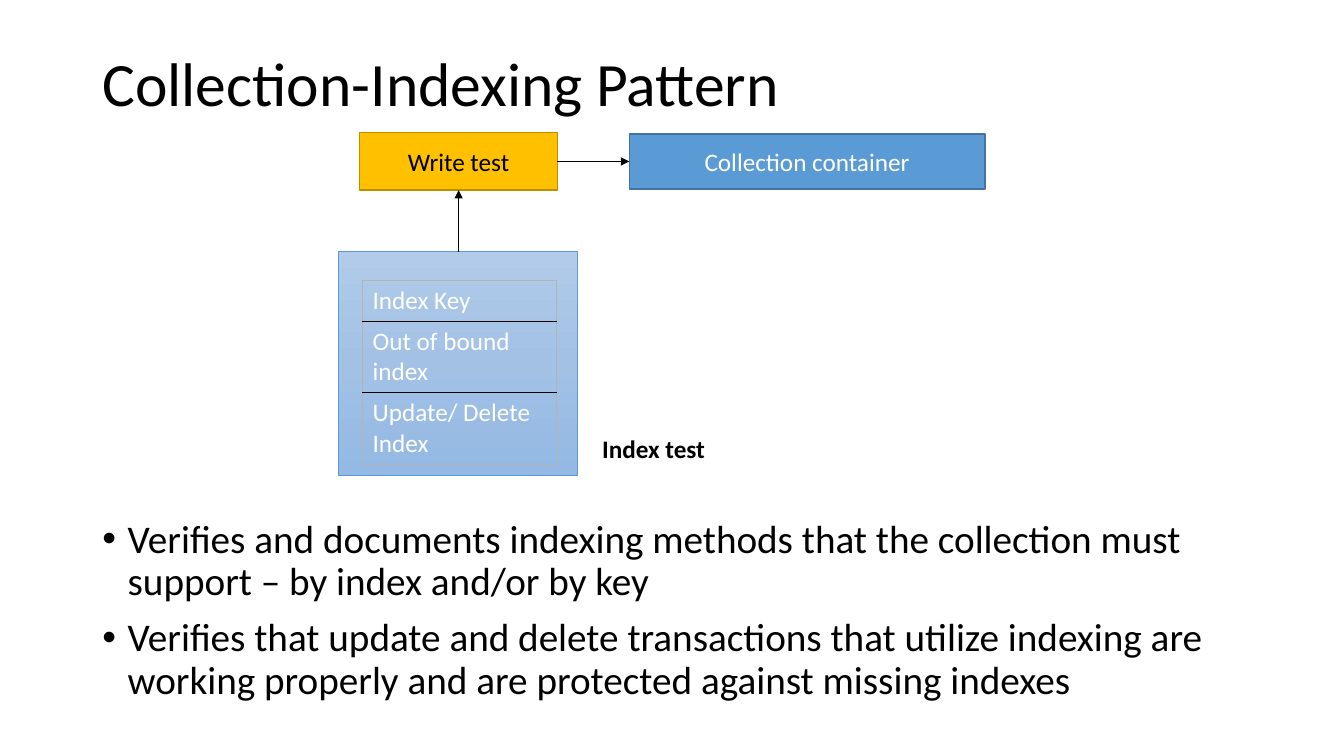
"""Builds the Collection-Indexing Pattern slide."""
from copy import deepcopy

from lxml import etree
from pptx import Presentation
from pptx import util as u
from pptx.dml.color import RGBColor
from pptx.enum import shapes, text
from pptx.oxml import ns

BLACK = RGBColor(0x00, 0x00, 0x00)
WHITE = RGBColor(0xFF, 0xFF, 0xFF)
GOLD = RGBColor(0xFF, 0xC0, 0x00)
GOLD_EDGE = RGBColor(0xBD, 0x8E, 0x00)
BLUE = RGBColor(0x5B, 0x9B, 0xD5)
BLUE_EDGE = RGBColor(0x43, 0x73, 0x9E)
GREY = RGBColor(0xB4, 0xB4, 0xB4)
PANEL = (RGBColor(0xB1, 0xCB, 0xE9), RGBColor(0xA3, 0xC1, 0xE5), RGBColor(0x93, 0xB9, 0xE4))
LEFT, CENTER = text.PP_ALIGN.LEFT, text.PP_ALIGN.CENTER
MIDDLE, TOP = text.MSO_ANCHOR.MIDDLE, text.MSO_ANCHOR.TOP


def sub(parent, tag, **attrs):
    return etree.SubElement(parent, ns.qn(tag), attrs)


def pts(*lengths):
    return [u.Pt(n) for n in lengths]


class Deck:
    def __init__(self, prs, font="Calibri"):
        self.font = font
        self.s = prs.slides.add_slide(prs.slide_layouts[1])

    def put_text(self, tf, lines, size=18, color=BLACK, bold=False, bullet=None, **fmt):
        for i, line in enumerate(lines):
            p = tf.paragraphs[0] if i == 0 else tf.add_paragraph()
            if bullet:
                pPr = p._p.get_or_add_pPr()
                pPr.set("marL", str(u.Pt(18)))
                pPr.set("indent", str(u.Pt(-18)))
                sub(pPr, "a:buFont", typeface="Arial")
                sub(pPr, "a:buChar", char=bullet)
                p.space_before = u.Pt(10 if i else 0)
            for name, value in fmt.items():
                setattr(p, name, value)
            r = p.add_run()
            r.text = line
            for name, value in {"name": self.font, "size": u.Pt(size), "bold": bold}.items():
                setattr(r.font, name, value)
            r.font.color.rgb = color

    def placeholder(self, idx, box, lines, size, anchor, **fmt):
        sp = self.s.placeholders[idx]
        for name, value in zip(("left", "top", "width", "height"), pts(*box)):
            setattr(sp, name, value)
        tf = sp.text_frame
        for name, value in {"auto_size": text.MSO_AUTO_SIZE.NONE, "word_wrap": True,
                            "vertical_anchor": anchor}.items():
            setattr(tf, name, value)
        self.put_text(tf, lines, size, alignment=LEFT, line_spacing=0.9, **fmt)

    def rect(self, box, edge, weight):
        sp = self.s.shapes.add_shape(shapes.MSO_SHAPE.RECTANGLE, *pts(*box))
        sp.shadow.inherit = False
        sp.line.color.rgb = edge
        sp.line.width = u.Pt(weight)
        return sp

    def box(self, box, label, fill, edge, color):
        sp = self.rect(box, edge, 1)
        sp.fill.solid()
        sp.fill.fore_color.rgb = fill
        sp.text_frame.vertical_anchor = MIDDLE
        self.put_text(sp.text_frame, [label], color=color, alignment=CENTER)

    def panel(self, box, colors, edge):
        sp = self.rect(box, edge, 0.5)
        sp.fill.gradient()
        sp.fill.gradient_angle = 270
        stops = sp._element.spPr.find(".//" + ns.qn("a:gsLst"))
        stops.insert(1, deepcopy(stops[0]))
        for i, (stop, color) in enumerate(zip(sp.fill.gradient_stops, colors)):
            stop.position = i / 2
            stop.color.rgb = color

    def label(self, box, line):
        tf = self.s.shapes.add_textbox(*pts(*box)).text_frame
        tf.word_wrap = False
        tf.auto_size = text.MSO_AUTO_SIZE.SHAPE_TO_FIT_TEXT
        self.put_text(tf, [line], bold=True)

    def table(self, left, top, width, rows):
        heights = pts(*(height for _, height in rows))
        frame = self.s.shapes.add_table(len(rows), 1, *pts(left, top, width), sum(heights))
        tbl = frame.table
        tbl.first_row = tbl.horz_banding = False
        last = len(rows) - 1
        for i, (line, _) in enumerate(rows):
            tbl.rows[i].height = heights[i]
            cell = tbl.cell(i, 0)
            self.put_text(cell.text_frame, [line], color=WHITE)
            tcPr = cell._tc.get_or_add_tcPr()
            edges = {"L": GREY, "R": GREY, "T": BLACK if i else GREY,
                     "B": BLACK if i < last else GREY}
            for side, color in edges.items():
                weight = 1 if color == BLACK else 0.5
                ln = sub(tcPr, "a:ln" + side, w=str(u.Pt(weight)))
                sub(sub(ln, "a:solidFill"), "a:srgbClr", val=str(color))
            cell.fill.background()

    def arrow(self, *ends):
        c = self.s.shapes.add_connector(shapes.MSO_CONNECTOR.STRAIGHT, *pts(*ends))
        c.line.color.rgb = BLACK
        c.line.width = u.Pt(0.5)
        spPr = c._element.spPr
        sub(spPr.get_or_add_ln(), "a:tailEnd", type="triangle")
        sub(spPr, "a:effectLst")


def main():
    prs = Presentation()
    prs.slide_width, prs.slide_height = pts(960, 540)
    d = Deck(prs)
    d.placeholder(0, (66, 9.5, 828, 104.4), ["Collection-Indexing Pattern"], 44, MIDDLE)
    d.placeholder(1, (66, 367.2, 828, 160.5), [
        "Verifies and documents indexing methods that the collection must support"
        " – by index and/or by key",
        "Verifies that update and delete transactions that utilize indexing are working"
        " properly and are protected against missing indexes",
    ], 28, TOP, bullet="•")
    d.box((257, 94.8, 141.2, 41), "Write test", GOLD, GOLD_EDGE, BLACK)
    d.box((449.5, 95.6, 254, 39.4), "Collection container", BLUE, BLUE_EDGE, WHITE)
    d.panel((241.7, 179.8, 170.8, 159.8), PANEL, BLUE)
    d.table(259, 200.2, 138.5, [("Index Key", 29.2), ("Out of bound index", 50.8),
                                ("Update/ Delete Index", 50.8)])
    d.label((423, 306.3, 88.5, 29), "Index test")
    d.arrow(327.6, 179.8, 327.6, 135.8)
    d.arrow(398.2, 115.3, 449.5, 115.3)
    prs.save("out.pptx")


if __name__ == "__main__":
    main()
